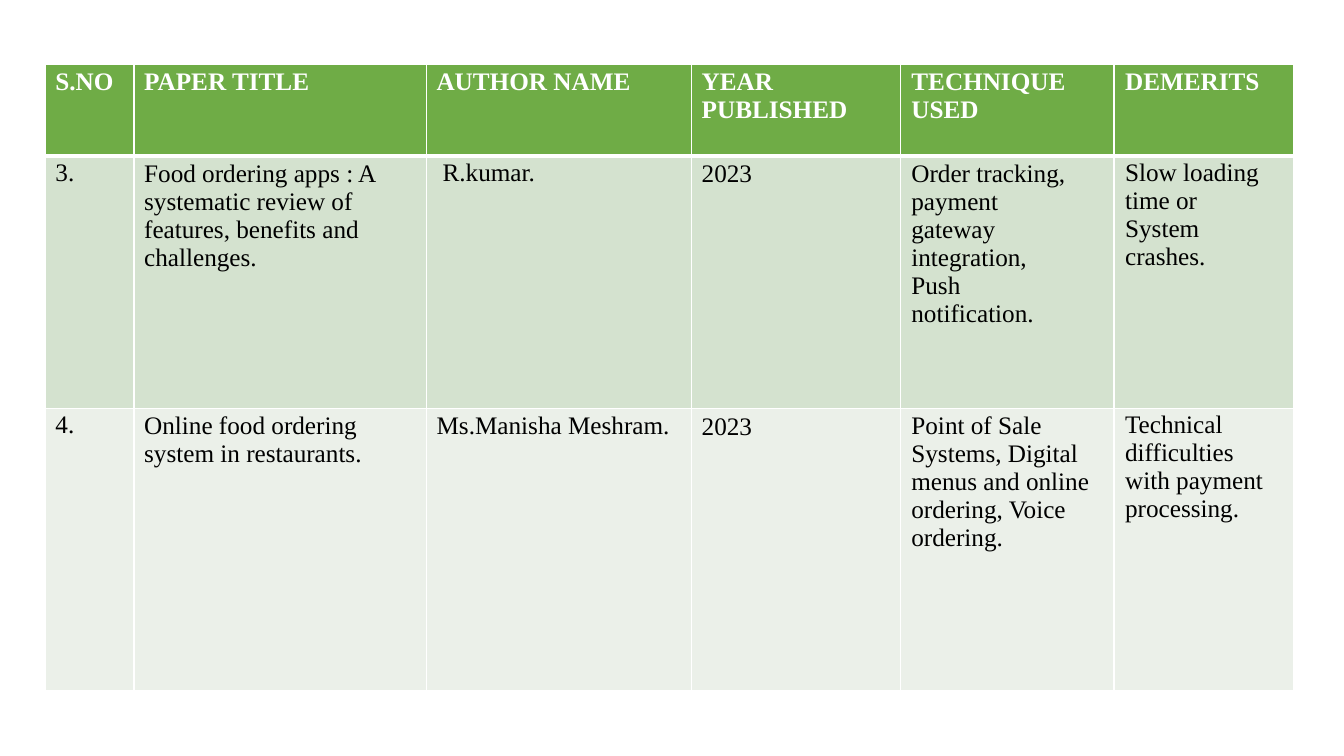
"""Build a literature survey slide with one table of reviewed papers."""
from dataclasses import dataclass

from lxml import etree
from pptx import Presentation
from pptx import util as u
from pptx.dml.color import RGBColor
from pptx.oxml import ns
from pptx.table import _Cell

WHITE = RGBColor(0xFF, 0xFF, 0xFF)
BLACK = RGBColor(0x00, 0x00, 0x00)
GREEN = RGBColor(0x6F, 0xAC, 0x46)
SAGE = RGBColor(0xD4, 0xE2, 0xCF)
MIST = RGBColor(0xEB, 0xF0, 0xE9)

THIN, THICK = 1, 3
COLUMN_WIDTHS = (0.88, 2.9, 2.63, 2.07, 2.12, 1.78)
LEFT_INDENTS = (0.1, 0.1, 0.1, 0.1, 0.11, 0.11)


@dataclass(frozen=True)
class Entry:
    wording: str
    left_extra: float = 0
    top: float = 0.03
    right: float = 0
    spacing: float = 1.0


@dataclass(frozen=True)
class SurveyRow:
    height: float
    fill: RGBColor
    ink: RGBColor
    bold: bool
    top_rule: int
    bottom_rule: int
    entries: tuple[Entry, ...]


SURVEY = (
    SurveyRow(0.91, GREEN, WHITE, True, THIN, THICK, (
        Entry("S.NO"),
        Entry("PAPER TITLE"),
        Entry("AUTHOR NAME"),
        Entry("YEAR PUBLISHED", spacing=1.01),
        Entry("TECHNIQUE USED", spacing=1.01),
        Entry("DEMERITS"),
    )),
    SurveyRow(2.5, SAGE, BLACK, False, THICK, THIN, (
        Entry("3."),
        Entry("Food ordering apps : A systematic review of features, "
              "benefits and challenges.", spacing=1.01),
        Entry("R.kumar.", left_extra=0.06),
        Entry("2023", top=0.04),
        Entry("Order tracking, payment gateway integration, "
              "Push notification.", right=0.35, spacing=1.01),
        Entry("Slow loading time or System crashes.", right=0.25),
    )),
    SurveyRow(2.8, MIST, BLACK, False, THIN, THIN, (
        Entry("4."),
        Entry("Online food ordering system in restaurants.", spacing=1.01),
        Entry("Ms.Manisha Meshram.", spacing=1.01),
        Entry("2023", top=0.05),
        Entry("Point of Sale Systems, Digital menus and online ordering, "
              "Voice ordering.", spacing=1.01),
        Entry("Technical difficulties with payment processing.", right=0.25),
    )),
)


def rule_cell(cell: _Cell, top: int, bottom: int) -> None:
    """Draw white borders on the four sides of a cell."""
    properties = cell._tc.get_or_add_tcPr()
    for side, points in {"L": THIN, "R": THIN, "T": top, "B": bottom}.items():
        border = etree.SubElement(properties, ns.qn(f"a:ln{side}"), w=str(u.Pt(points)))
        paint = etree.SubElement(border, ns.qn("a:solidFill"))
        etree.SubElement(paint, ns.qn("a:srgbClr"), val=str(WHITE))


def fill_cell(cell: _Cell, entry: Entry, row: SurveyRow, indent: float) -> None:
    """Write and format one entry of the survey."""
    rule_cell(cell, row.top_rule, row.bottom_rule)
    cell.fill.solid()
    cell.fill.fore_color.rgb = row.fill
    margins = {
        "margin_left": indent + entry.left_extra,
        "margin_top": entry.top,
        "margin_right": entry.right,
        "margin_bottom": 0,
    }
    for name, inches in margins.items():
        setattr(cell, name, u.Inches(inches))
    paragraph = cell.text_frame.paragraphs[0]
    paragraph.line_spacing = entry.spacing
    wording = paragraph.add_run()
    wording.text = entry.wording
    font_format = {"name": "Times New Roman", "size": u.Pt(18), "bold": row.bold}
    for name, value in font_format.items():
        setattr(wording.font, name, value)
    wording.font.color.rgb = row.ink


def main() -> None:
    """Create the presentation and save it."""
    deck = Presentation()
    deck.slide_width, deck.slide_height = u.Inches(13.33), u.Inches(7.5)
    slide = deck.slides.add_slide(deck.slide_layouts[6])
    survey = slide.shapes.add_table(
        len(SURVEY), len(COLUMN_WIDTHS), u.Inches(0.45), u.Inches(0.64),
        u.Inches(sum(COLUMN_WIDTHS)), u.Inches(sum(row.height for row in SURVEY)),
    ).table
    for column, width in zip(survey.columns, COLUMN_WIDTHS):
        column.width = u.Inches(width)
    for row_number, row in enumerate(SURVEY):
        survey.rows[row_number].height = u.Inches(row.height)
        for column_number, (entry, indent) in enumerate(zip(row.entries, LEFT_INDENTS)):
            fill_cell(survey.cell(row_number, column_number), entry, row, indent)
    deck.save("out.pptx")


if __name__ == "__main__":
    main()
